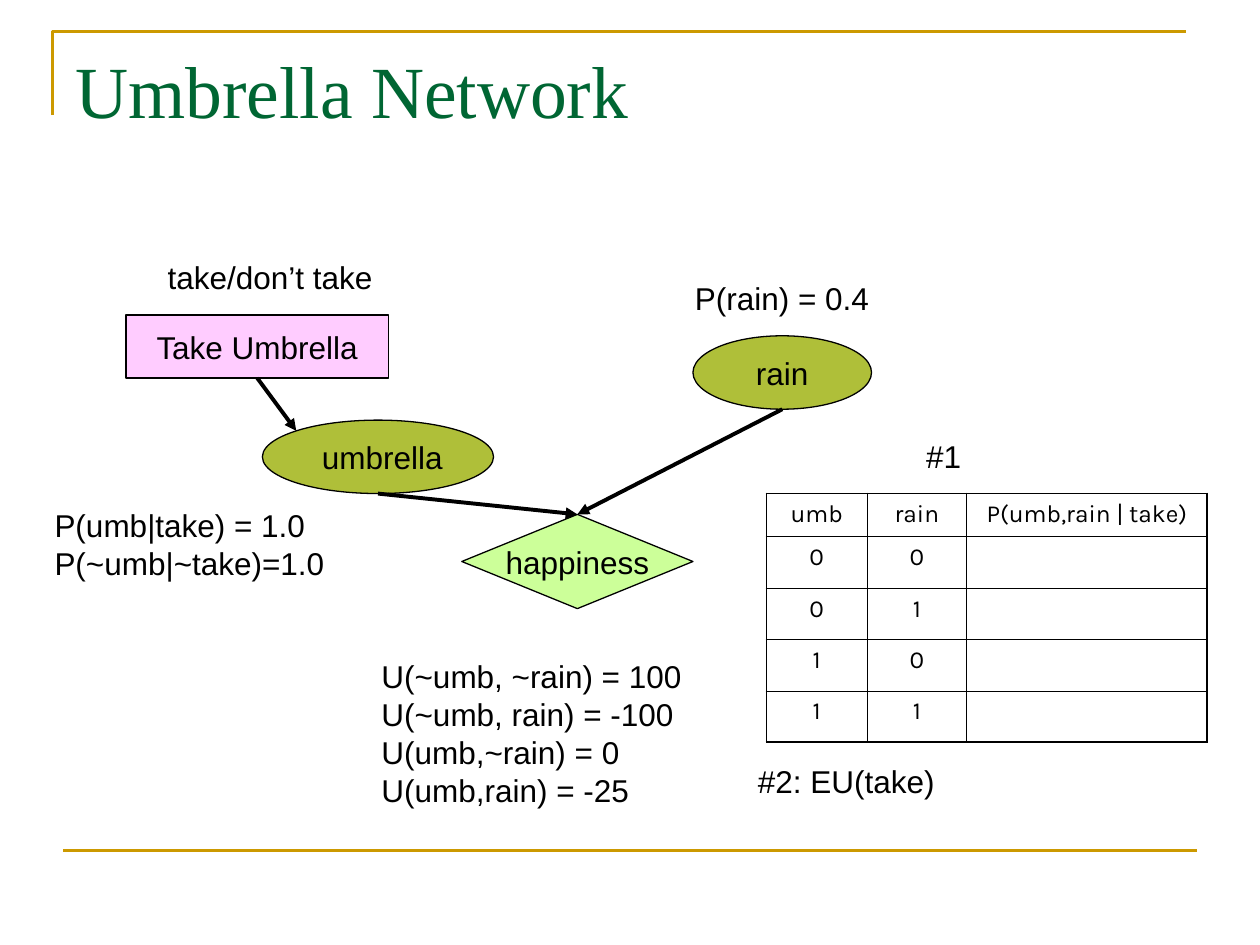
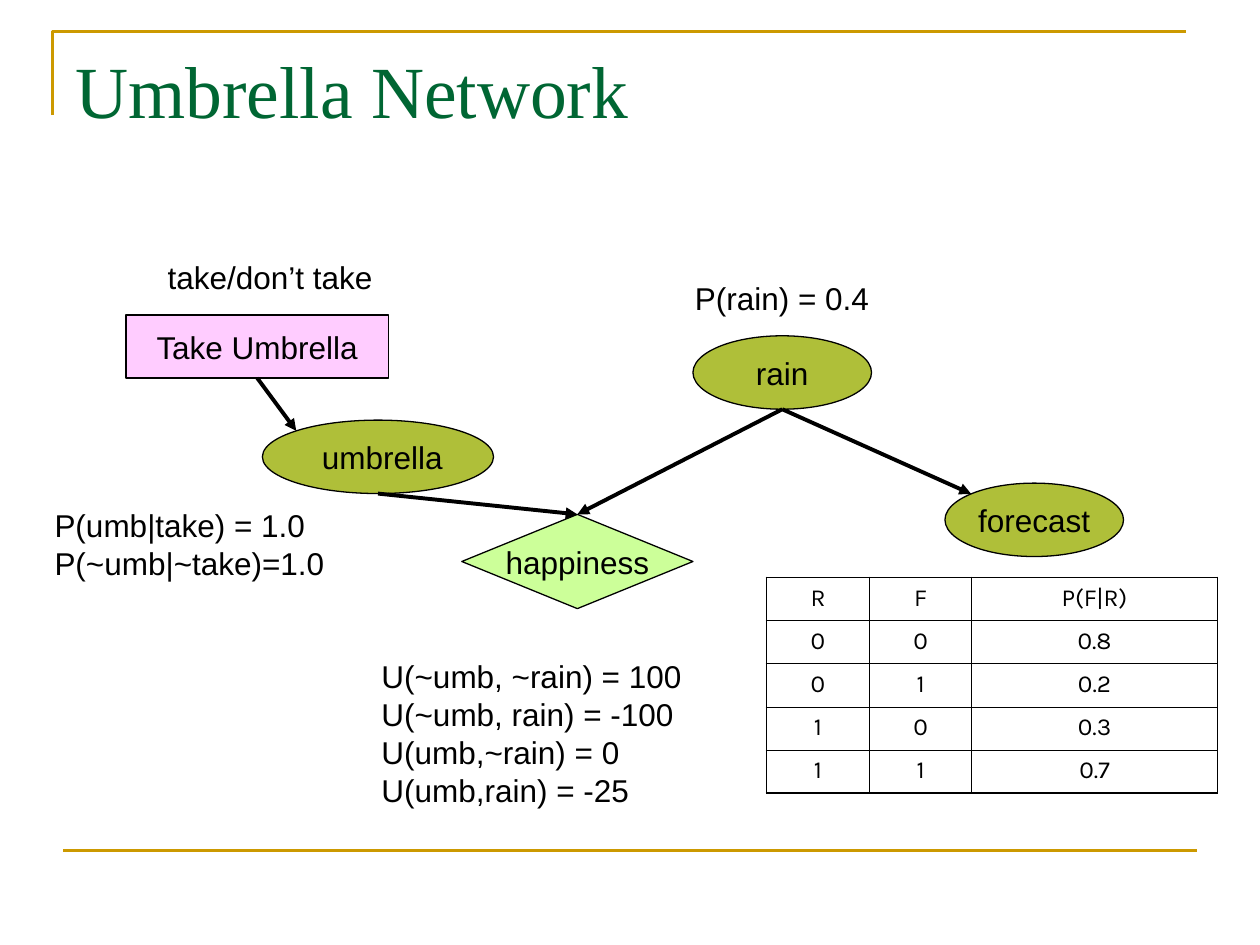
from dataclasses import dataclass
from math import sqrt
from typing import Any

from lxml.etree import SubElement
from pptx import Presentation
from pptx.dml.color import RGBColor
from pptx.enum.shapes import MSO_CONNECTOR as Link, MSO_SHAPE as Form
from pptx.enum.text import MSO_ANCHOR as Anchor, MSO_AUTO_SIZE as Auto, PP_ALIGN as Align
from pptx.oxml import parse_xml
from pptx.oxml.ns import nsdecls, qn
from pptx.util import Cm, Pt

HUES = {
    "gold": "CC9900",
    "green": "006633",
    "olive": "AFBF39",
    "pink": "FFCCFF",
    "lime": "CCFF99",
    "ink": "000000",
}
INSETS = {
    "margin_left": Cm(0.25),
    "margin_right": Cm(0.25),
    "margin_top": Cm(0.13),
    "margin_bottom": Cm(0.13),
}
TITLE = {"name": "Times New Roman", "size": Pt(42)}
BODY = {"name": "Arial", "size": Pt(18)}
GRID = {"name": "Karla", "size": Pt(14)}
THICK, THIN = 1.08, 0.45
TOP, BOTTOM, CORNER = "top", "bottom", "corner"


@dataclass(frozen=True)
class Node:
    text: str
    form: Any
    hue: str
    left: float
    top: float
    width: float
    height: float

    def point(self, spot: str) -> tuple[float, float]:
        mid = self.left + self.width / 2
        cut = (1 - sqrt(0.5)) / 2
        return {
            TOP: (mid, self.top),
            BOTTOM: (mid, self.top + self.height),
            CORNER: (self.left + self.width * cut, self.top + self.height * cut),
        }[spot]


@dataclass(frozen=True)
class Arrow:
    start: Node
    end: Node
    spot: str


@dataclass(frozen=True)
class Label:
    lines: tuple[str, ...]
    left: float
    top: float
    width: float
    height: float


@dataclass(frozen=True)
class Chance:
    heads: tuple[str, str, str]
    odds: tuple[str, ...]
    top: float
    widths: tuple[float, float, float]


@dataclass(frozen=True)
class Page:
    nodes: tuple[Node, ...]
    arrows: tuple[Arrow, ...]
    labels: tuple[Label, ...]
    chance: Chance


RAIN = Node("rain", Form.OVAL, "olive", 13.97, 6.77, 3.6, 1.48)
TAKE = Node("Take Umbrella", Form.RECTANGLE, "pink", 2.54, 6.35, 5.29, 1.27)
HAPPY = Node("happiness", Form.FLOWCHART_DECISION, "lime", 9.31, 10.37, 4.66, 1.9)
BROLLY = Node(" umbrella", Form.OVAL, "olive", 5.29, 8.47, 4.66, 1.48)
CAST = Node("forecast", Form.OVAL, "olive", 19.05, 9.74, 3.6, 1.48)

NODES = (RAIN, TAKE, HAPPY, BROLLY)
ARROWS = (
    Arrow(RAIN, HAPPY, TOP),
    Arrow(BROLLY, HAPPY, TOP),
    Arrow(TAKE, BROLLY, CORNER),
)
LABELS = (
    Label(("take/don’t take",), 3.13, 5.08, 4.8, 1.02),
    Label(("P(rain) = 0.4",), 13.76, 5.5, 4.2, 1.02),
    Label(
        (
            "U(~umb, ~rain) = 100",
            "U(~umb, rain) = -100",
            "U(umb,~rain) = 0",
            "U(umb,rain) = -25",
        ),
        7.44, 13.12, 6.8, 3.3,
    ),
    Label(("P(umb|take) = 1.0", "P(~umb|~take)=1.0"), 0.85, 10.08, 6.15, 1.78),
)
TASKS = (
    Label(("#1",), 18.42, 8.68, 1.7, 1.02),
    Label(("#2: EU(take)",), 15.03, 15.24, 5.72, 1.02),
)
PAGES = (
    Page(
        NODES, ARROWS, LABELS + TASKS,
        Chance(("umb", "rain", "P(umb,rain | take)"), ("",) * 4, 9.95, (2.03, 2.01, 4.85)),
    ),
    Page(
        NODES + (CAST,), ARROWS + (Arrow(RAIN, CAST, CORNER),), LABELS,
        Chance(("R", "F", "P(F|R)"), ("0.8", "0.2", "0.3", "0.7"), 11.64, (2.08, 2.06, 4.95)),
    ),
)


def tint(name: str) -> RGBColor:
    return RGBColor.from_string(HUES[name])


def style(item: Any, values: dict[str, Any]) -> None:
    for name, value in values.items():
        setattr(item, name, value)


def stroke(line: Any, hue: str, width: float) -> None:
    line.color.rgb = tint(hue)
    line.width = Pt(width)


def write(frame: Any, lines: tuple[str, ...], font: dict[str, Any],
          hue: str = "ink", align: Align = Align.LEFT) -> None:
    for row, text in enumerate(lines):
        para = frame.add_paragraph() if row else frame.paragraphs[0]
        para.alignment = align
        run = para.add_run()
        run.text = text
        style(run.font, font)
        run.font.color.rgb = tint(hue)


def draw_line(slide: Any, start: tuple[float, float], end: tuple[float, float],
              hue: str, width: float) -> Any:
    line = slide.shapes.add_connector(Link.STRAIGHT, *map(Cm, start + end))
    stroke(line.line, hue, width)
    SubElement(line._element.spPr, qn("a:effectLst"))
    return line


def draw_frame(slide: Any) -> None:
    pen = slide.shapes.build_freeform(Cm(1.06), Cm(2.32))
    pen.add_line_segments([(Cm(1.06), Cm(0.64)), (Cm(23.91), Cm(0.64))], close=False)
    edge = pen.convert_to_shape()
    edge.shadow.inherit = False
    edge.fill.background()
    stroke(edge.line, "gold", 1.5)
    draw_line(slide, (1.27, 17.15), (24.13, 17.15), "gold", 1.5)


def draw_title(slide: Any, text: str) -> None:
    title = slide.shapes.title
    style(title, {"left": Cm(1.27), "top": Cm(0.77), "width": Cm(22.86), "height": Cm(3.18)})
    style(title.text_frame, INSETS | {"vertical_anchor": Anchor.TOP, "auto_size": Auto.NONE})
    write(title.text_frame, (text,), TITLE, "green")


def draw_node(slide: Any, node: Node) -> Any:
    shape = slide.shapes.add_shape(
        node.form, *map(Cm, (node.left, node.top, node.width, node.height)))
    shape.shadow.inherit = False
    shape.fill.solid()
    shape.fill.fore_color.rgb = tint(node.hue)
    stroke(shape.line, "ink", 0.75)
    style(shape.text_frame, INSETS | {"word_wrap": False, "vertical_anchor": Anchor.MIDDLE})
    write(shape.text_frame, (node.text,), BODY, align=Align.CENTER)
    return shape


def draw_arrow(slide: Any, arrow: Arrow, shapes: dict[Node, Any]) -> None:
    line = draw_line(slide, arrow.start.point(BOTTOM), arrow.end.point(arrow.spot), "ink", 2.25)
    if arrow.start.form == Form.RECTANGLE:
        line.begin_connect(shapes[arrow.start], 2)
    if arrow.spot == TOP:
        line.end_connect(shapes[arrow.end], 0)
    SubElement(line.line._get_or_add_ln(), qn("a:tailEnd"), type="triangle")


def draw_label(slide: Any, label: Label) -> None:
    box = slide.shapes.add_textbox(
        *map(Cm, (label.left, label.top, label.width, label.height)))
    style(box.text_frame, INSETS | {"word_wrap": True, "auto_size": Auto.NONE})
    write(box.text_frame, label.lines, BODY)


def draw_edges(cell: Any, outer: dict[str, bool]) -> None:
    props = cell._tc.get_or_add_tcPr()
    for spot, (side, edge) in enumerate(outer.items()):
        width = Pt(THICK if edge else THIN)
        props.insert(spot, parse_xml(
            f'<a:ln{side} {nsdecls("a")} w="{width}"><a:solidFill>'
            f'<a:srgbClr val="{HUES["ink"]}"/></a:solidFill></a:ln{side}>'))


def draw_table(slide: Any, chance: Chance) -> None:
    rows = [chance.heads] + [
        (str(n // 2), str(n % 2), odd) for n, odd in enumerate(chance.odds)]
    high = 0.87
    table = slide.shapes.add_table(
        len(rows), len(chance.heads), Cm(15.45), Cm(chance.top),
        Cm(sum(chance.widths)), Cm(high * len(rows))).table
    style(table, {"first_row": False, "horz_banding": False})
    for col, width in zip(table.columns, chance.widths):
        col.width = Cm(width)
    for r, row in enumerate(rows):
        table.rows[r].height = Cm(high)
        for c, text in enumerate(row):
            cell = table.cell(r, c)
            style(cell, INSETS)
            cell.fill.background()
            draw_edges(cell, {"L": c == 0, "R": c == len(row) - 1,
                              "T": r == 0, "B": r == len(rows) - 1})
            if text:
                write(cell.text_frame, (text,), GRID, align=Align.CENTER)


def draw_page(deck: Any, page: Page) -> None:
    slide = deck.slides.add_slide(deck.slide_layouts.get_by_name("Title Only"))
    draw_frame(slide)
    draw_title(slide, "Umbrella Network")
    shapes = {node: draw_node(slide, node) for node in page.nodes}
    for arrow in page.arrows:
        draw_arrow(slide, arrow, shapes)
    for label in page.labels:
        draw_label(slide, label)
    draw_table(slide, page.chance)


def main() -> None:
    deck = Presentation()
    style(deck, {"slide_width": Cm(25.4), "slide_height": Cm(19.05)})
    for page in PAGES:
        draw_page(deck, page)
    deck.save("out.pptx")


if __name__ == "__main__":
    main()
